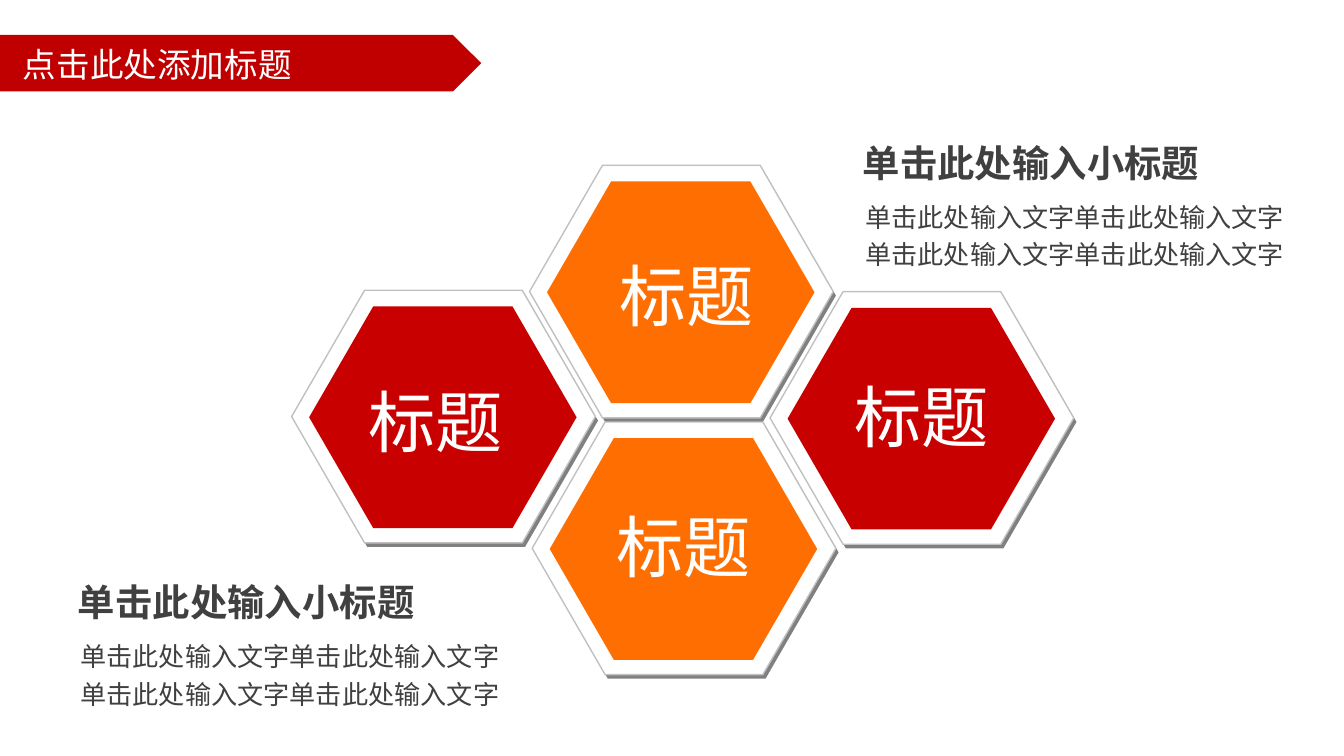
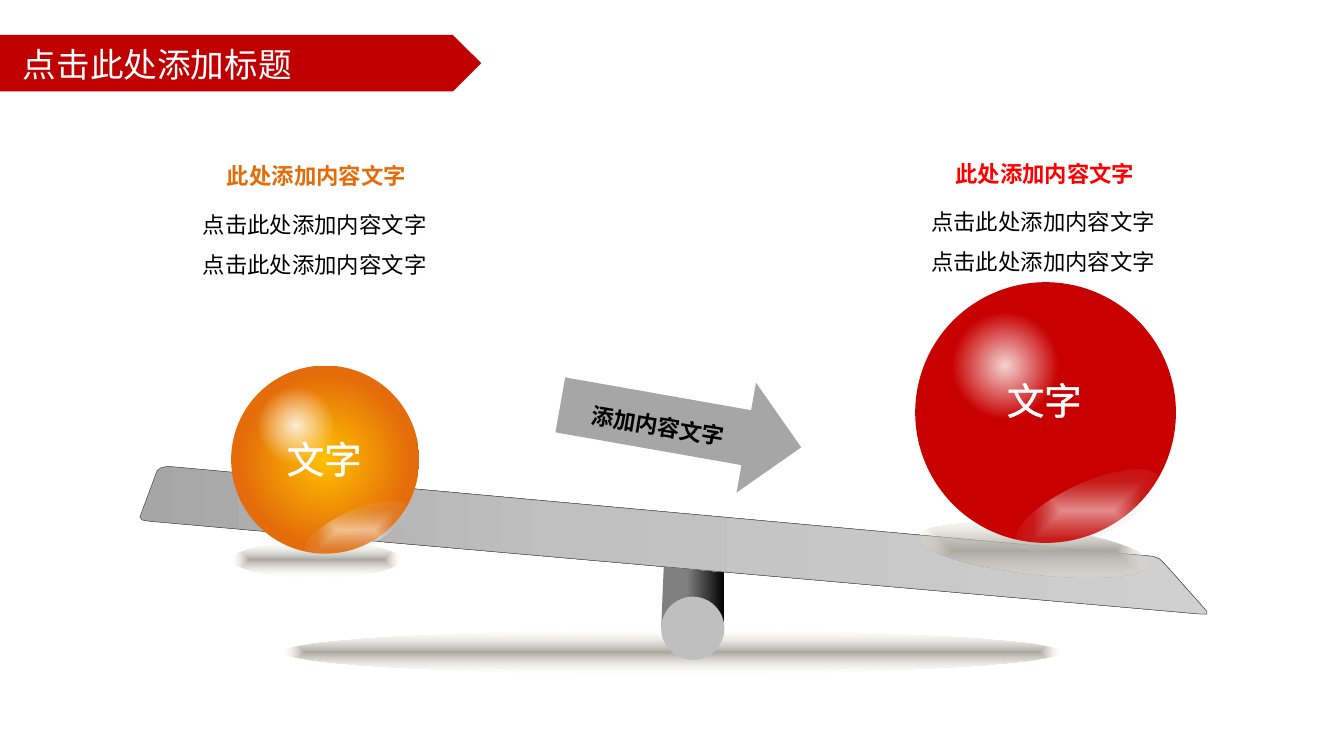
from lxml.etree import SubElement
from pptx import Presentation
from pptx.dml.color import RGBColor
from pptx.enum.shapes import MSO_SHAPE
from pptx.enum.text import MSO_ANCHOR, MSO_AUTO_SIZE, PP_ALIGN
from pptx.oxml.ns import qn
from pptx.util import Emu, Pt

PX = 9144
FONT = "Noto Sans CJK SC"
WHITE = RGBColor(0xFF, 0xFF, 0xFF)
BLACK = RGBColor(0, 0, 0)
BANNER_RED = RGBColor(0xC0, 0, 0)
DEEP_RED = RGBColor(0xC8, 0, 0)
BRIGHT_RED = RGBColor(0xFF, 0, 0)
ORANGE = RGBColor(0xFF, 0x6E, 0)
DARK_ORANGE = RGBColor(0xE4, 0x6C, 0x0A)
GOLD = RGBColor(0xFF, 0xC0, 0)
INK = RGBColor(0x40, 0x40, 0x40)
GRAY = RGBColor(0x80, 0x80, 0x80)
ARROW_GRAY = RGBColor(0xA6, 0xA6, 0xA6)
POST_GRAY = RGBColor(0xBF, 0xBF, 0xBF)
RIM_GRAY = RGBColor(0xC0, 0xC0, 0xC0)
PLANK_GRAY = RGBColor(0xD0, 0xD0, 0xD0)
GLARE_GRAY = RGBColor(0xD7, 0xD7, 0xD7)
SHADE_DARK = RGBColor(0xAA, 0xA9, 0xA1)
SHADE_LIGHT = RGBColor(0xEE, 0xEC, 0xE1)

SHADE = [(0, SHADE_DARK, 100), (100, SHADE_LIGHT, 0)]
HIGHLIGHT = [(0, WHITE, 83), (50, WHITE, 0), (100, WHITE, 0)]
GLARE = [(0, WHITE, 55), (50, GLARE_GRAY, 12), (100, WHITE, 0)]
GOLD_BALL = [(0, GOLD, 100), (65, DARK_ORANGE, 100), (100, DARK_ORANGE, 100)]
PLANK = [(0, ARROW_GRAY, 100), (40, RIM_GRAY, 100), (100, PLANK_GRAY, 100)]
POST = [(0, GRAY, 100), (40, GRAY, 100), (100, BLACK, 100)]


def px(*lengths):
    """Turn px lengths into EMU."""
    return [Emu(round(length * PX)) for length in lengths]


def fill_gradient(shape, stops, path=None):
    """Fill with (position, colour, opacity) stops, centred on a path or left to right."""
    shape.fill.gradient()
    gradient = shape.element.spPr.find(qn("a:gradFill"))
    gradient.clear()
    gradient.set("rotWithShape", "1")
    stop_list = SubElement(gradient, qn("a:gsLst"))
    for position, color, opacity in stops:
        stop = SubElement(stop_list, qn("a:gs"), pos=str(position * 1000))
        solid = SubElement(stop, qn("a:srgbClr"), val=str(color))
        if opacity < 100:
            SubElement(solid, qn("a:alpha"), val=str(opacity * 1000))
    if path:
        center = SubElement(gradient, qn("a:path"), path=path)
        SubElement(center, qn("a:fillToRect"), l="50000", t="50000", r="50000", b="50000")
    else:
        SubElement(gradient, qn("a:lin"), ang="0", scaled="0")


def paint(shape, fill, path=None, line=None, line_width=0.75):
    """Give a shape its fill and line and drop its shadow."""
    shape.shadow.inherit = False
    if isinstance(fill, list):
        fill_gradient(shape, fill, path)
    else:
        shape.fill.solid()
        shape.fill.fore_color.rgb = fill
    if line is None:
        shape.line.fill.background()
    else:
        shape.line.color.rgb = line
        shape.line.width = Pt(line_width)
    return shape


def add_preset(shapes, kind, box, fill, rotation=0, **style):
    """Add a painted preset shape."""
    shape = shapes.add_shape(kind, *px(*box))
    shape.rotation = rotation
    return paint(shape, fill, **style)


def add_outline(shapes, points, fill, **style):
    """Add a painted closed polygon."""
    builder = shapes.build_freeform(*points[0], scale=PX)
    builder.add_line_segments(points[1:], close=True)
    return paint(builder.convert_to_shape(), fill, **style)


def write(frame, text, size, color, bold=None, align=PP_ALIGN.LEFT, spacing=None, outline=None):
    """Write the lines of text as formatted paragraphs."""
    for index, words in enumerate(text.split("\n")):
        paragraph = frame.add_paragraph() if index else frame.paragraphs[0]
        paragraph.alignment = align
        if spacing:
            paragraph.line_spacing = spacing
        run = paragraph.add_run()
        run.text = words
        run.font.size = Pt(size)
        run.font.bold = bold
        run.font.color.rgb = color
        run.font.name = FONT
        properties = run.font._element
        SubElement(properties, qn("a:ea"), typeface=FONT)
        if outline:
            line = SubElement(properties, qn("a:ln"), w=str(Pt(outline)))
            solid = SubElement(line, qn("a:solidFill"))
            SubElement(solid, qn("a:srgbClr"), val=str(color))
            properties.insert(0, line)


def add_text(shapes, box, text, size, color, wrap=True, inset=True, rotation=0, **style):
    """Add a text box, either growing with its text or tight and centred vertically."""
    shape = shapes.add_textbox(*px(*box))
    shape.rotation = rotation
    frame = shape.text_frame
    frame.word_wrap = wrap
    if inset:
        frame.auto_size = MSO_AUTO_SIZE.SHAPE_TO_FIT_TEXT
    else:
        frame.margin_left = frame.margin_right = frame.margin_top = frame.margin_bottom = 0
        frame.vertical_anchor = MSO_ANCHOR.MIDDLE
    write(frame, text, size, color, **style)


def add_banner(slide):
    """Put the title band on the layout that the slides share."""
    banner = add_preset(slide.shapes, MSO_SHAPE.PENTAGON, (0, 26, 358, 42), BANNER_RED)
    slide.slide_layout.shapes.element.insert(2, banner.element)


def add_titled_slide(presentation, title):
    """Add a title-only slide with its formatted title."""
    slide = presentation.slides.add_slide(presentation.slide_layouts[5])
    placeholder = slide.shapes.title
    placeholder.left, placeholder.top, placeholder.width, placeholder.height = px(7, 25, 900, 46)
    frame = placeholder.text_frame
    frame.auto_size = MSO_AUTO_SIZE.NONE
    frame.vertical_anchor = MSO_ANCHOR.MIDDLE
    write(frame, title, 18, WHITE)
    return slide


def add_hexagon(slide, left, top, color, label_x, label_y):
    """Place a raised hexagon with its label."""
    group = slide.shapes.add_group_shape()
    layers = [
        ((2, 3, 226, 188), GRAY, None),
        ((0, 0, 226, 188), WHITE, RIM_GRAY),
        ((13, 12, 199, 165), color, None),
    ]
    for (x, y, width, height), fill, line in layers:
        box = (left + x, top + y, width, height)
        hexagon = add_preset(group.shapes, MSO_SHAPE.HEXAGON, box, fill, line=line)
        hexagon.adjustments[0] = 0.289
    box = (left + label_x, top + label_y, 121, 71)
    add_text(slide.shapes, box, "标题", 36, WHITE, wrap=False)


def add_hexagon_note(slide, left, top):
    """Place a subtitle with two lines of text below."""
    add_text(slide.shapes, (left - 8, top + 42, 356, 67), "\n".join(["单击此处输入文字单击此处输入文字"] * 2),
             14, INK, spacing=1.2)
    add_text(slide.shapes, (left, top, 273, 39), "单击此处输入小标题", 20, INK,
             inset=False, bold=True, spacing=1.2)


def add_ball_note(slide, left, top, color):
    """Place a coloured heading with two lines of text below."""
    add_text(slide.shapes, (left - 8, top + 30, 208, 67), "\n".join(["点击此处添加内容文字"] * 2),
             12, BLACK, spacing=1.5)
    add_text(slide.shapes, (left, top, 173, 32), "此处添加内容文字", 12, color,
             bold=True, align=PP_ALIGN.CENTER, spacing=1.2)


def add_ball(slide, left, top, size, fill, shade_tilt=0):
    """Place a glossy ball with its shade and label, all in proportion to its size."""
    def part(x, y, width, height):
        return left + x * size, top + y * size, width * size, height * size

    layers = [
        (part(0.01, 0.94, 0.89, 0.18), SHADE, "shape", shade_tilt),
        (part(0, 0, 1, 1), fill, "circle", 0),
        (part(0.03, 0.06, 0.63, 0.52), HIGHLIGHT, "circle", 0),
        (part(0.36, 0.77, 0.6, 0.21), GLARE, "shape", 335.4),
    ]
    for box, color, path, rotation in layers:
        add_preset(slide.shapes, MSO_SHAPE.OVAL, box, color, rotation, path=path)
    add_text(slide.shapes, part(0.15, 0.34, 0.69, 0.31), "文字", 20, WHITE,
             align=PP_ALIGN.CENTER, outline=1.45)


def add_seesaw(slide, left, top):
    """Place the ground shade, the post and the tilted plank."""
    def shift(points):
        return [(left + x, top + y) for x, y in points]

    shapes = slide.shapes
    add_preset(shapes, MSO_SHAPE.OVAL, (left + 111, top + 129, 578, 32), SHADE, path="shape")
    post = [(394, 80), (438, 80), (439, 127), (392, 127)]
    add_outline(shapes, shift(post), POST)
    add_preset(shapes, MSO_SHAPE.OVAL, (left + 392, top + 104, 47, 47), POST_GRAY, 352.3)
    plank = [(4, 45), (17, 10), (20, 8), (25, 7), (758, 74), (763, 76), (767, 80),
             (798, 115), (798, 117), (794, 117), (12, 48), (6, 47)]
    add_outline(shapes, shift(plank), PLANK, line=INK, line_width=0.25)


def add_arrow(slide, left, top):
    """Place the tilted arrow with its words."""
    add_preset(slide.shapes, MSO_SHAPE.DOWN_ARROW, (left + 50, top - 50, 83, 182), ARROW_GRAY, 280)
    add_text(slide.shapes, (left + 9, top + 16, 133, 37), "添加内容文字", 12, BLACK,
             rotation=9.4, bold=True, align=PP_ALIGN.CENTER, spacing=1.5)


def build_hexagon_slide(presentation):
    """Build the slide of four hexagons."""
    slide = add_titled_slide(presentation, "点击此处添加标题")
    add_banner(slide)
    add_hexagon(slide, 394, 123, ORANGE, 57, 61)
    add_hexagon(slide, 217, 216, DEEP_RED, 47, 62)
    add_hexagon(slide, 573, 217, DEEP_RED, 53, 57)
    add_hexagon(slide, 396, 314, ORANGE, 53, 57)
    add_hexagon_note(slide, 58, 425)
    add_hexagon_note(slide, 642, 98)


def build_seesaw_slide(presentation):
    """Build the slide of two balls on a seesaw."""
    slide = add_titled_slide(presentation, "点击此处添加标题")
    add_seesaw(slide, 100, 340)
    add_ball(slide, 172, 272, 140, GOLD_BALL)
    add_ball(slide, 681, 210, 194, DEEP_RED, shade_tilt=6.6)
    add_arrow(slide, 415, 276)
    add_ball_note(slide, 149, 112, DARK_ORANGE)
    add_ball_note(slide, 691, 110, BRIGHT_RED)


def main():
    """Build and save the presentation."""
    presentation = Presentation()
    presentation.slide_width = Emu(1000 * PX)
    presentation.slide_height = Emu(1000 * PX * 9 // 16)
    build_hexagon_slide(presentation)
    build_seesaw_slide(presentation)
    presentation.save("out.pptx")


if __name__ == "__main__":
    main()
